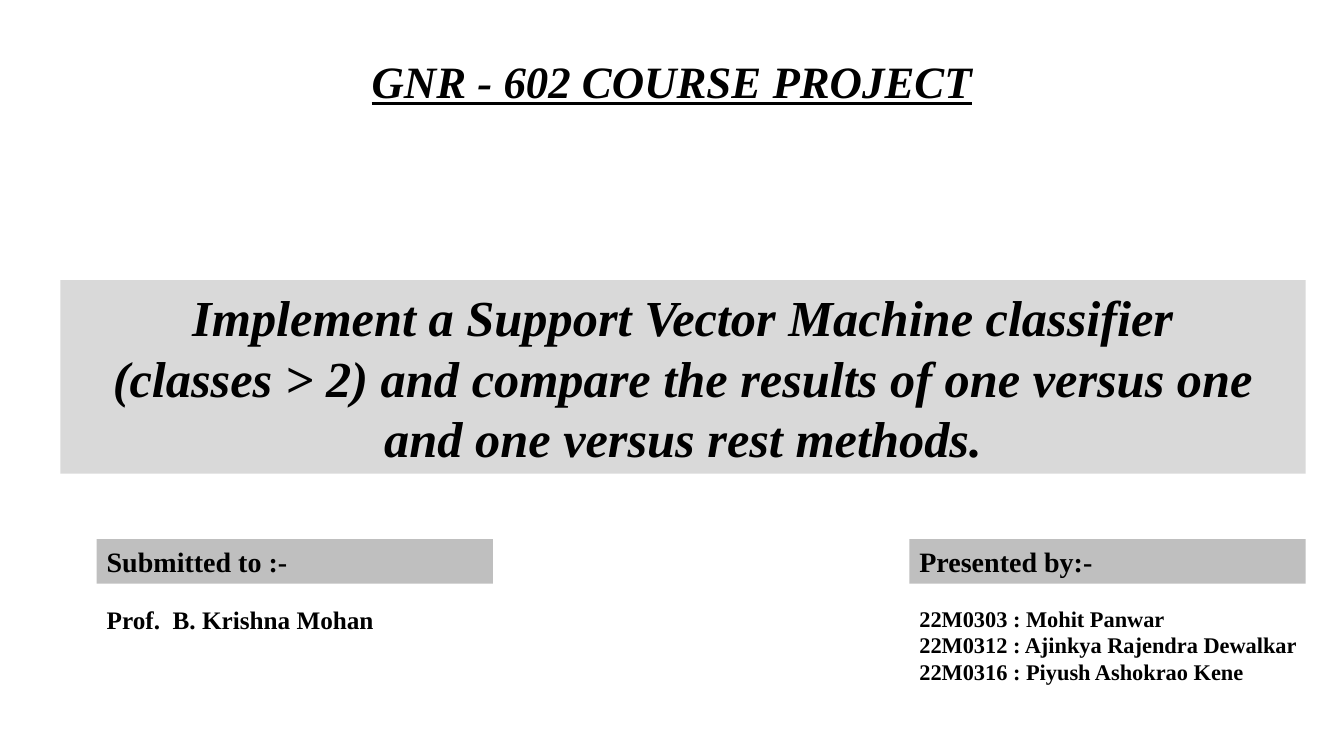
from pptx import Presentation, util as u
from pptx.dml.color import RGBColor
from pptx.enum import shapes, text

PX = 9144  # 100 px to the inch
FONT = "Times New Roman"
COLORS = {"ink": "000000", "paper": "FFFFFF", "topic": "D9D9D9", "label": "BFBFBF"}


def place(box, left, top, width, height, fill=None):
    box.left, box.top, box.width, box.height = (n * PX for n in (left, top, width, height))
    if fill:
        box.fill.solid()
        box.fill.fore_color.rgb = RGBColor.from_string(COLORS[fill])
        box.line.fill.background()
    box.text_frame.word_wrap = True
    box.text_frame.auto_size = text.MSO_AUTO_SIZE.NONE


def write(box, lines, size, align=text.PP_ALIGN.LEFT, **style):
    """Fill the box with one bold paragraph per line; "\\v" breaks a line inside it."""
    frame = box.text_frame
    for number, line in enumerate(lines):
        para = frame.add_paragraph() if number else frame.paragraphs[0]
        para.alignment = align
        for part_number, part in enumerate(line.split("\v")):
            if part_number:
                para.add_line_break()
            span = para.add_run()
            span.text = part
            font = span.font
            font.name, font.size, font.bold = FONT, u.Pt(size), True
            font.color.rgb = RGBColor.from_string(COLORS["ink"])
            for name, value in style.items():
                setattr(font, name, value)


deck = Presentation()
deck.slide_width, deck.slide_height = 1333 * PX, 750 * PX
page = deck.slides.add_slide(deck.slide_layouts[5])

title = page.shapes.title
place(title, 297, 48, 739, 64, "paper")
write(title, ["GNR - 602 COURSE PROJECT"], 32, text.PP_ALIGN.CENTER,
      italic=True, underline=True)

topic = page.shapes.add_shape(shapes.MSO_SHAPE.RECTANGLE, 0, 0, 0, 0)
topic.shadow.inherit = False
place(topic, 60, 278, 1235, 192, "topic")
topic.text_frame.vertical_anchor = text.MSO_ANCHOR.MIDDLE
write(topic, ["Implement a Support Vector Machine classifier\v"
              "(classes > 2) and compare the results of one versus one "
              "and one versus rest methods."],
      36, text.PP_ALIGN.CENTER, italic=True)
# The first line sits left of the centre of the others
topic_props = topic.text_frame.paragraphs[0]._p.get_or_add_pPr()
topic_props.set("marL", "0")
topic_props.set("indent", str(-100 * PX))

columns = [
    (96, "Submitted to :-", ["Prof.  B. Krishna Mohan"], 18, 349, 40),
    (902, "Presented by:-", ["22M0303 : Mohit Panwar",
                             "22M0312 : Ajinkya Rajendra Dewalkar",
                             "22M0316 : Piyush Ashokrao Kene"], 16, 402, 91),
]
for left, heading, people, size, width, height in columns:
    label = page.shapes.add_shape(shapes.MSO_SHAPE.RECTANGLE, 0, 0, 0, 0)
    label.shadow.inherit = False
    place(label, left, 535, 393, 44, "label")
    label.text_frame.vertical_anchor = text.MSO_ANCHOR.MIDDLE
    write(label, [heading], 20)

    names = page.shapes.add_textbox(0, 0, 0, 0)
    place(names, left, 595, width, height)
    write(names, people, size)

deck.save("out.pptx")
